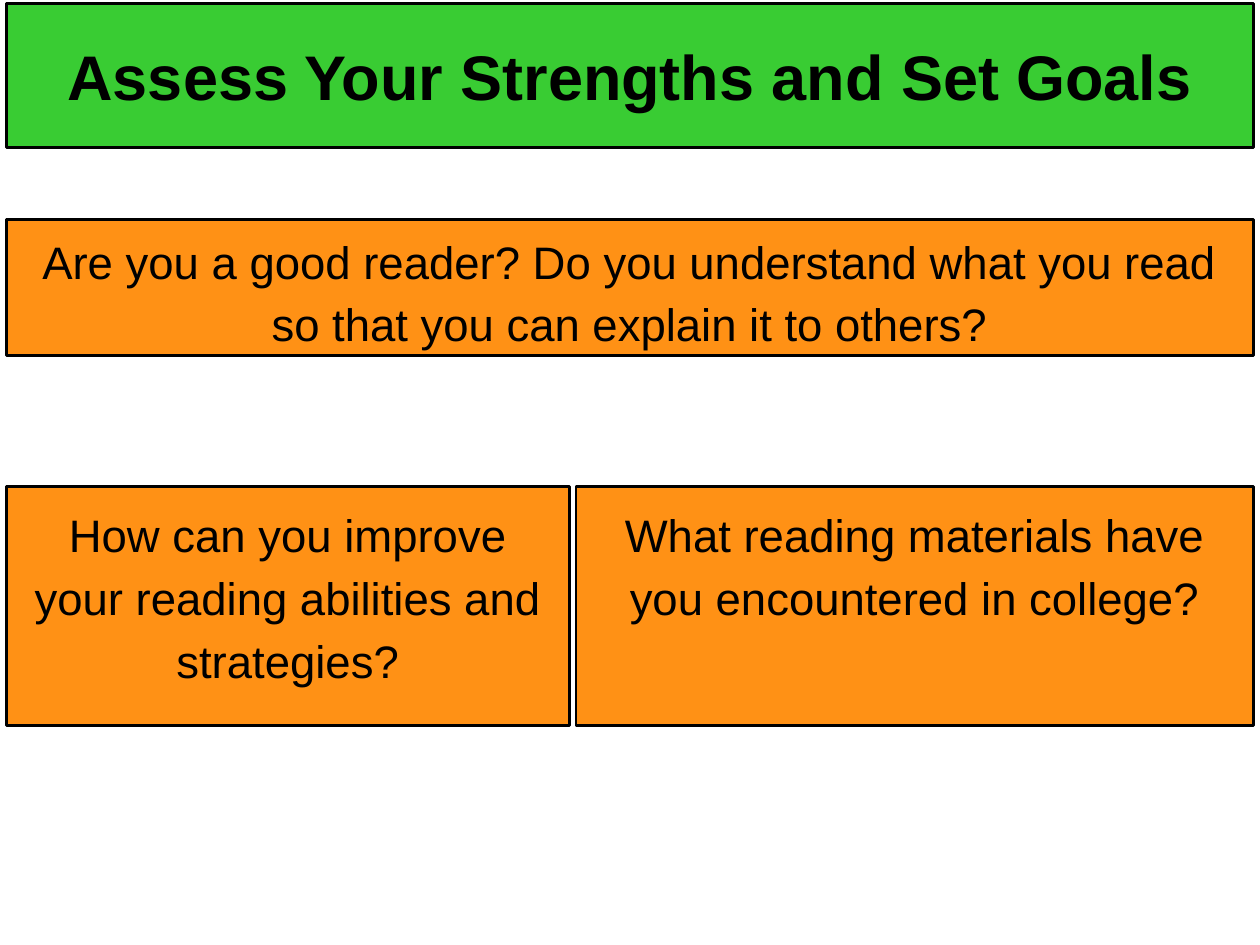
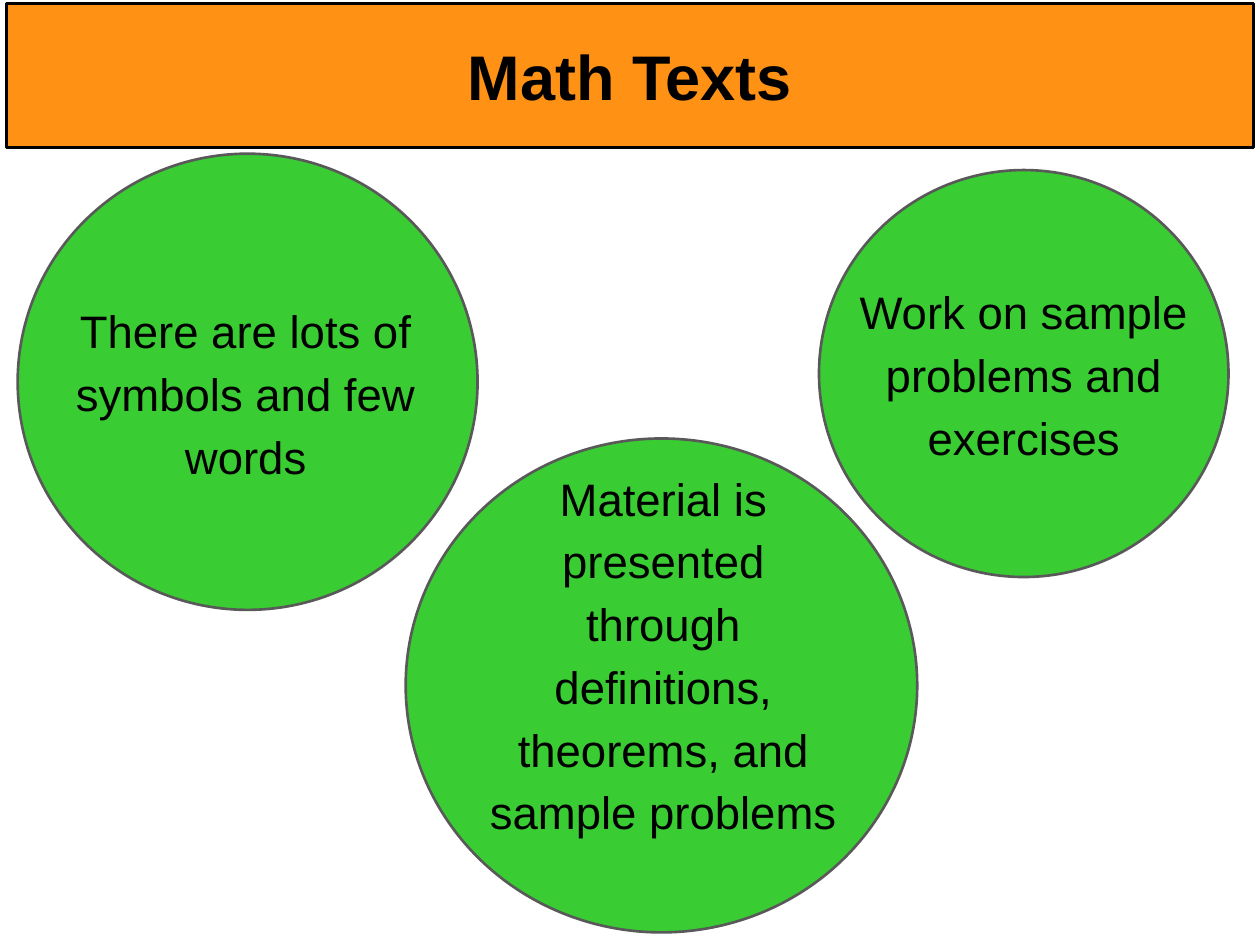
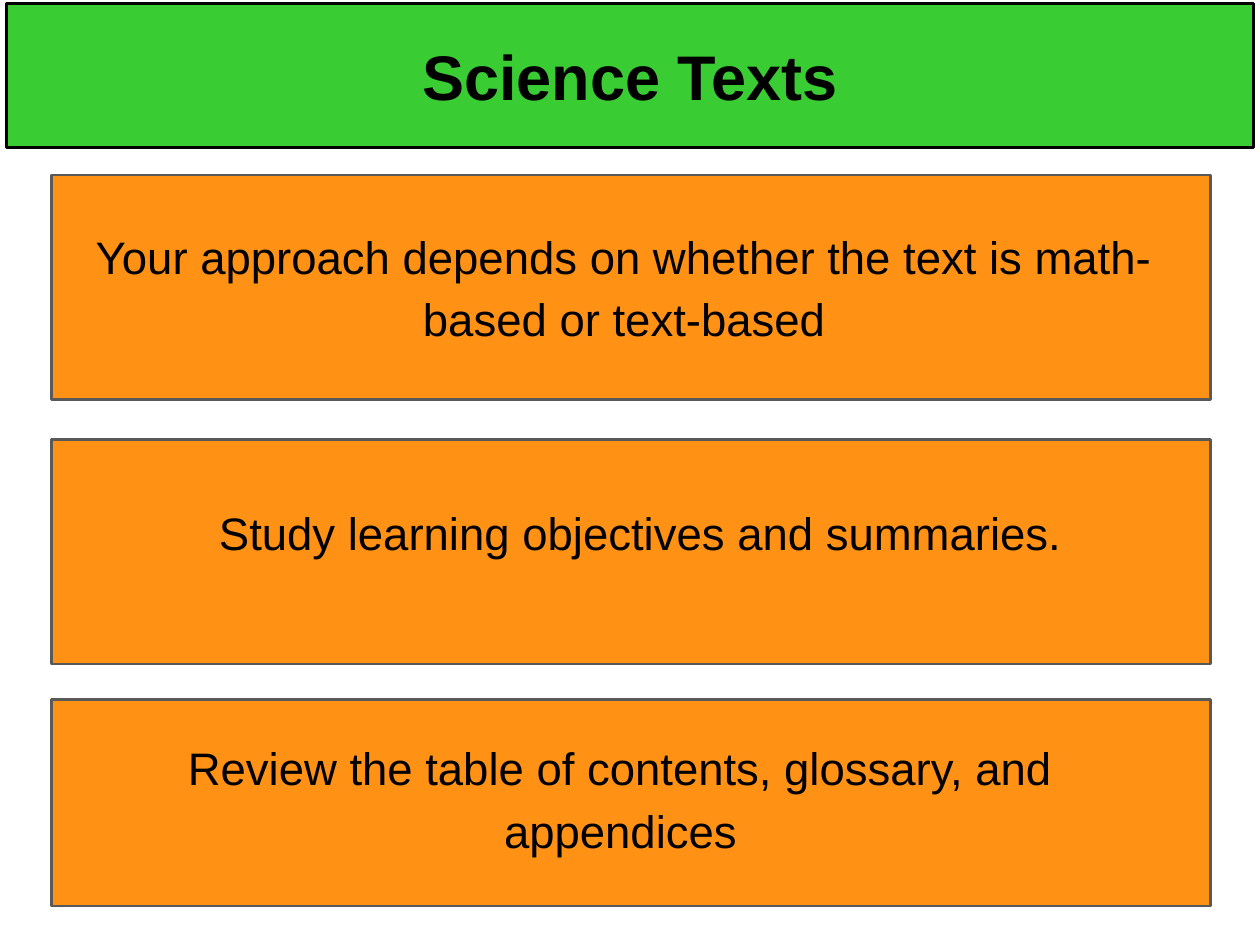
from dataclasses import dataclass
from typing import Any

from lxml import etree
from pptx import Presentation
from pptx import util as u
from pptx.dml.color import RGBColor
from pptx.enum import shapes as sh, text as tx
from pptx.oxml.ns import qn

HUES = {"green": "39CC33", "orange": "FF9115", "black": "000000", "gray": "595959"}
FONT = "Arial"
EDGE, WIDE = 0.05, 9.9
BAND = (EDGE, 0.03, WIDE, 1.14)
RECT = sh.MSO_SHAPE.RECTANGLE
OVAL = sh.MSO_SHAPE.OVAL

Box = tuple[float, float, float, float]


@dataclass(frozen=True)
class Panel:
    """A filled outline, with or without words."""
    box: Box
    fill: str
    line: str = "gray"
    form: Any = RECT
    words: str = ""


@dataclass(frozen=True)
class Note:
    """Words in a text box."""
    box: Box
    words: str


@dataclass(frozen=True)
class Body:
    """Words in the body placeholder, filled if a hue is given."""
    box: Box
    words: str
    fill: str = ""


@dataclass(frozen=True)
class Group:
    members: tuple[Panel | Note, ...]


@dataclass(frozen=True)
class Page:
    title: str
    hue: str
    items: tuple[Panel | Note | Body | Group, ...]


def color(name: str) -> RGBColor:
    return RGBColor.from_string(HUES[name])


def paint(shape: Any, fill: str, line: str) -> None:
    shape.fill.solid()
    shape.fill.fore_color.rgb = color(fill)
    shape.line.color.rgb = color(line)
    shape.line.width = u.Pt(1.5)


def place(shape: Any, box: Box) -> None:
    """Set the bounds and bring the shape to the front."""
    shape.left, shape.top, shape.width, shape.height = map(u.Inches, box)
    shape.element.getparent().append(shape.element)


def write(shape: Any, words: str, size: int = 26, bold: bool = False,
          inset: float = 0.1, middle: bool = False) -> None:
    frame = shape.text_frame
    frame.word_wrap = True
    frame.auto_size = tx.MSO_AUTO_SIZE.NONE
    frame.vertical_anchor = tx.MSO_ANCHOR.MIDDLE if middle else tx.MSO_ANCHOR.TOP
    frame.margin_left = frame.margin_right = u.Inches(0.1)
    frame.margin_top = frame.margin_bottom = u.Inches(inset)
    para = frame.paragraphs[0]
    para.alignment = tx.PP_ALIGN.CENTER
    if not middle:
        para.line_spacing = 1.15
        para.space_before = u.Pt(6.2)
    run = para.add_run()
    run.text = words
    run.font.name = FONT
    run.font.size = u.Pt(size)
    run.font.bold = bold
    run.font.color.rgb = color("black")


def plain(shape: Any) -> None:
    """Drop the bullet and indent of a list placeholder."""
    props = shape.text_frame.paragraphs[0]._p.get_or_add_pPr()
    props.set("marL", "0")
    props.set("indent", "0")
    etree.SubElement(props, qn("a:buNone"))


def draw(host: Any, item: Panel | Note | Body | Group) -> None:
    """Add one item to a slide or a group."""
    if isinstance(item, Group):
        group = host.shapes.add_group_shape()
        for member in item.members:
            draw(group, member)
    elif isinstance(item, Panel):
        shape = host.shapes.add_shape(item.form, *map(u.Inches, item.box))
        shape.shadow.inherit = False
        paint(shape, item.fill, item.line)
        if item.words:
            write(shape, item.words)
    elif isinstance(item, Note):
        write(host.shapes.add_textbox(*map(u.Inches, item.box)), item.words)
    else:
        shape = host.placeholders[1]
        place(shape, item.box)
        if item.fill:
            paint(shape, item.fill, "black")
        write(shape, item.words, inset=0.05)
        plain(shape)


def build(deck: Any, page: Page) -> None:
    slide = deck.slides.add_slide(deck.slide_layouts[1])
    title = slide.shapes.title
    place(title, BAND)
    paint(title, page.hue, "black")
    write(title, page.title, size=36, bold=True, inset=0.05, middle=True)
    for item in page.items:
        draw(slide, item)


def card(left: float, width: float, words: str) -> Panel:
    return Panel((left, 3.86, width, 1.9), "orange", "black", words=words)


def disc(*box: float) -> Panel:
    return Panel(box, "green", form=OVAL)


def bar(top: float, height: float) -> Panel:
    return Panel((0.41, top, 9.2, height), "orange")


PAGES = (
    Page("Assess Your Strengths and Set Goals", "green", (
        Body((EDGE, 1.74, WIDE, 1.08),
             "Are you a good reader? Do you understand what you read "
             "so that you can explain it to others?", "orange"),
        card(EDGE, 4.47, "How can you improve your reading abilities and strategies?"),
        card(4.57, 5.38, "What reading materials have you encountered in college?"),
    )),
    Page("Math Texts", "orange", (
        disc(6.5, 1.35, 3.25, 3.23),
        disc(0.14, 1.22, 3.65, 3.62),
        Body((0.18, 2.29, 3.54, 1.59), "There are lots of symbols and few words"),
        Group((
            disc(3.22, 3.48, 4.06, 3.92),
            Note((3.72, 3.57, 3.09, 3.23),
                 "Material is presented through definitions, theorems, "
                 "and sample problems"),
        )),
        Note((6.3, 2.09, 3.65, 1.88), "Work on sample problems and exercises"),
    )),
    Page("Science Texts", "green", (
        bar(1.39, 1.78),
        Body((0.57, 1.7, 8.77, 1.14),
             "Your approach depends on whether the text is math-based or text-based"),
        bar(5.55, 1.64),
        bar(3.49, 1.78),
        Note((0.54, 5.71, 8.77, 1.36),
             "Review the table of contents, glossary, and appendices"),
        Note((0.57, 3.84, 9.03, 1), "Study learning objectives and summaries."),
    )),
)


def main() -> None:
    deck = Presentation()
    deck.slide_width, deck.slide_height = u.Inches(10), u.Inches(7.5)
    for page in PAGES:
        build(deck, page)
    deck.save("out.pptx")


if __name__ == "__main__":
    main()
